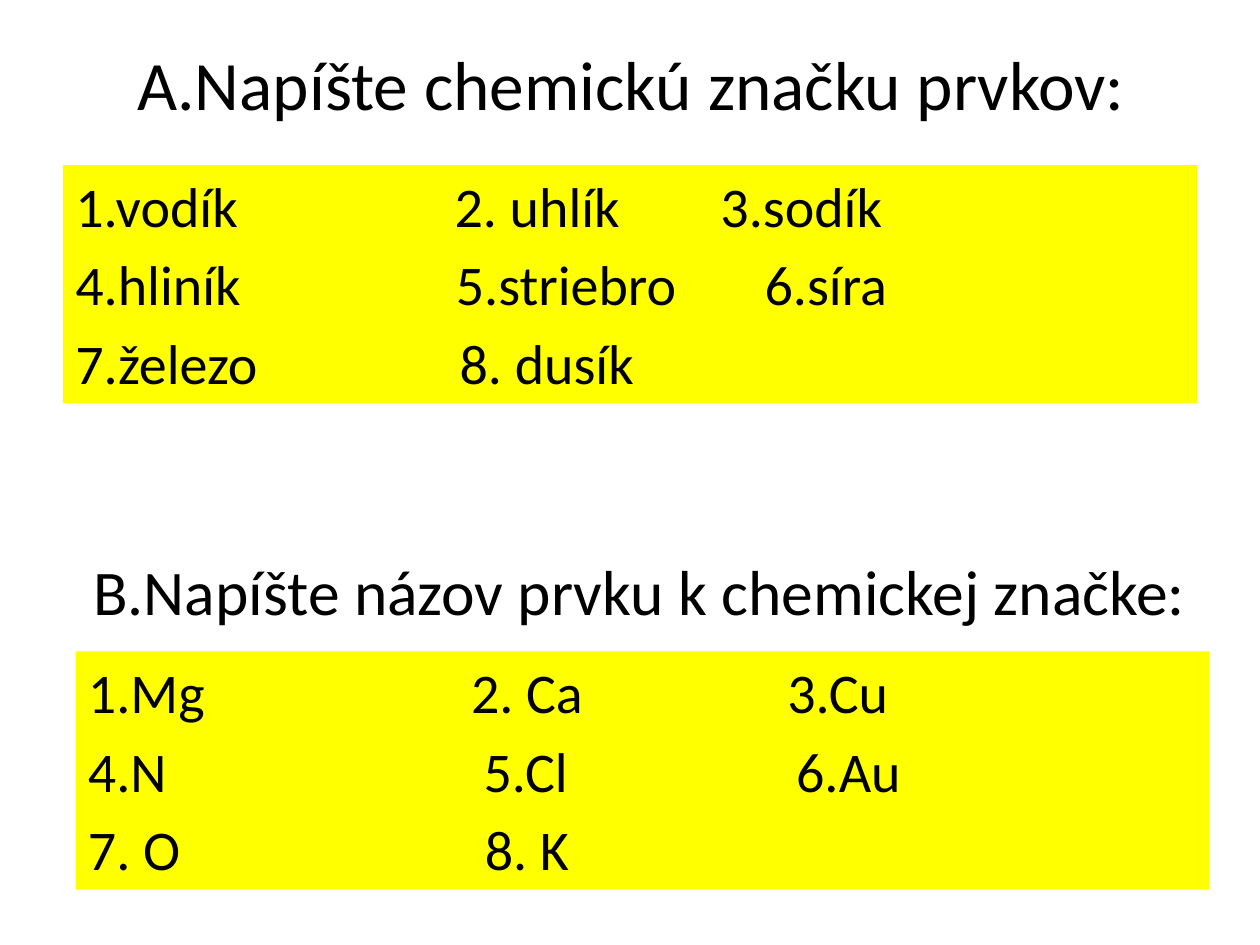
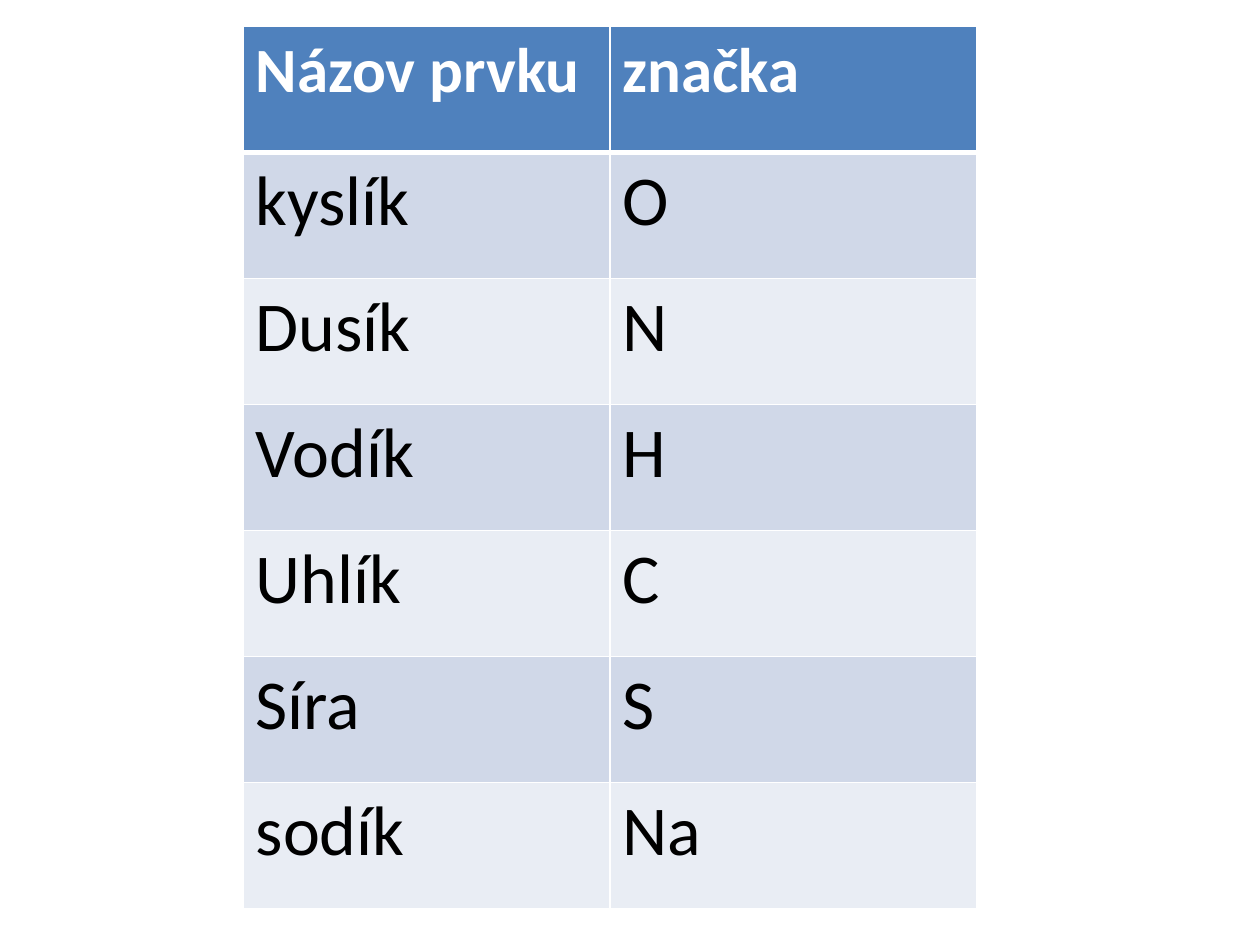
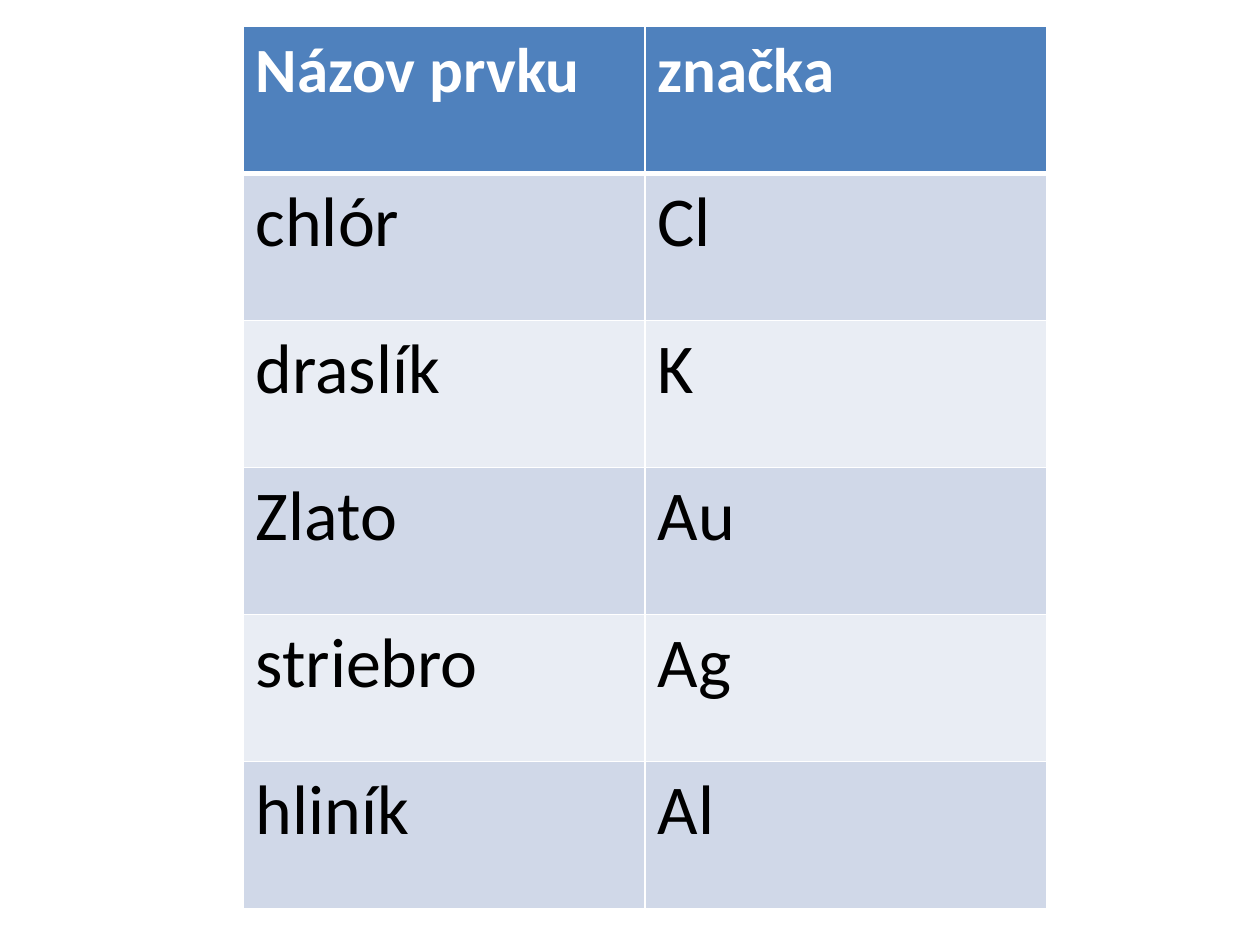
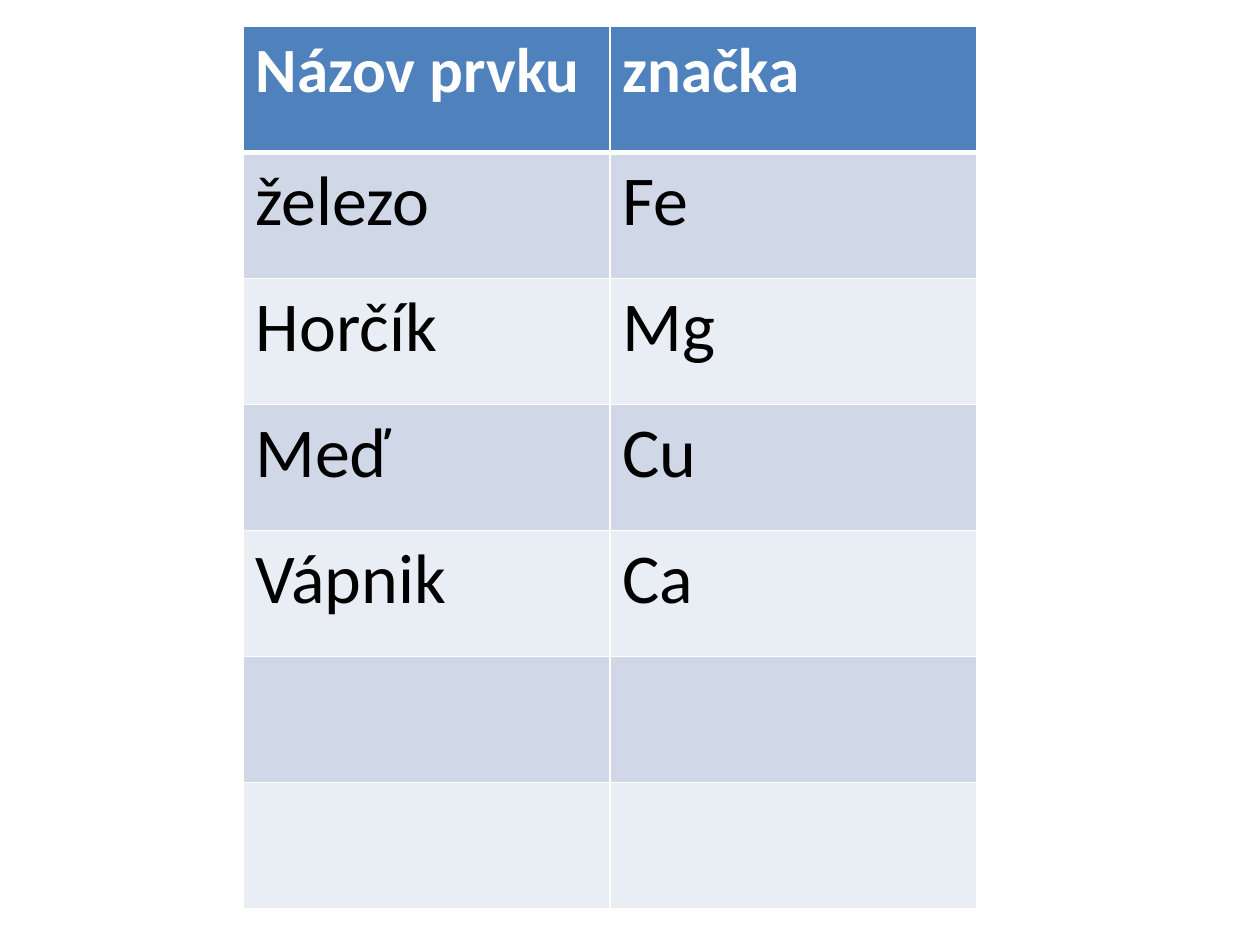
from lxml.etree import SubElement as Sub
from pptx import Presentation
from pptx.dml.color import RGBColor as Rgb
from pptx.enum.text import MSO_ANCHOR as Anchor, MSO_AUTO_SIZE as Fit, PP_ALIGN as Align
from pptx.oxml.ns import qn
from pptx.util import Inches, Pt

# Shared style
FONT = "Calibri"
BLACK, WHITE, YELLOW, BLUE = "000000", "FFFFFF", "FFFF00", "4F81BD"
BANDS = ["D0D8E8", "E9EDF4"]
HEAD = ("Názov prvku", "značka")


def color(code):
    return Rgb.from_string(code)


class Deck:
    def __init__(self):
        self.prs = Presentation()
        self.prs.slide_width = Inches(10)
        self.prs.slide_height = Inches(7.5)

    def add(self, layout):
        self.slide = self.prs.slides.add_slide(self.prs.slide_layouts[layout])

    def style(self, para, size, tone=BLACK, bold=False):
        font = para.font
        font.name, font.size, font.bold = FONT, Pt(size), bold
        font.color.rgb = color(tone)

    def place(self, left, top, high, holder=None):
        """Put a placeholder, or a new text box, at the shared width."""
        box = holder or self.slide.shapes.add_textbox(0, 0, 0, 0)
        box.left, box.top = Inches(left), Inches(top)
        box.width, box.height = Inches(9), Inches(high)
        box.text_frame.word_wrap = True
        box.text_frame.auto_size = Fit.NONE
        return box

    def title(self, text, left, top, size, holder=None):
        frame = self.place(left, top, 0.61, holder).text_frame
        frame.vertical_anchor = Anchor.MIDDLE
        frame.text = text
        para = frame.paragraphs[0]
        para.alignment = Align.CENTER
        self.style(para, size)

    def tasks(self, rows, left, top):
        """Yellow box; each row has its words and its tab stops."""
        box = self.place(left, top, 1.89)
        box.fill.solid()
        box.fill.fore_color.rgb = color(YELLOW)
        frame = box.text_frame
        for i, (words, stops) in enumerate(rows):
            para = frame.add_paragraph() if i else frame.paragraphs[0]
            para.text = "\t".join(words)
            tabs = Sub(para._p.get_or_add_pPr(), qn("a:tabLst"))
            for stop in stops:
                Sub(tabs, qn("a:tab"), pos=str(Inches(stop)), algn="l")
            para.space_before = Pt(6.4 if i else 0)
            self.style(para, 32)

    def edge(self, cell, row):
        """White cell borders, thicker under the header."""
        props = cell._tc.get_or_add_tcPr()
        for side in "LRTB":
            thick = (row, side) in ((0, "B"), (1, "T"))
            line = Sub(props, qn("a:ln" + side), w=str(Pt(3 if thick else 1)))
            fill = Sub(line, qn("a:solidFill"))
            Sub(fill, qn("a:srgbClr"), val=WHITE)

    def table(self, pairs, width):
        rows = [HEAD] + pairs
        grid = self.slide.shapes.add_table(
            len(rows), 2, Inches(1.93), Inches(0.21), Inches(width), Inches(7)).table
        for r, pair in enumerate(rows):
            for c, word in enumerate(pair):
                cell = grid.cell(r, c)
                self.edge(cell, r)
                cell.fill.solid()
                cell.fill.fore_color.rgb = color(BANDS[(r - 1) % 2] if r else BLUE)
                cell.text = word
                para = cell.text_frame.paragraphs[0]
                if r:
                    self.style(para, 40)
                else:
                    self.style(para, 36, WHITE, True)


def main():
    deck = Deck()

    # Exercises
    deck.add(5)
    deck.title("A.Napíšte chemickú značku prvkov:", 0.51, 0.35, 39.6,
               deck.slide.shapes.title)
    deck.tasks([
        (("1.vodík", "2. uhlík", "3.sodík"), (3.01, 5.12)),
        (("4.hliník", "5.striebro", "6.síra"), (3.02, 5.47)),
        (("7.železo", "8. dusík"), (3.05,)),
    ], 0.5, 1.31)
    deck.title("B.Napíšte názov prvku k chemickej značke:", 0.58, 4.38, 36.3)
    deck.tasks([
        (("1.Mg", "2. Ca", "3.Cu"), (3.04, 5.55)),
        (("4.N", "5.Cl", "6.Au"), (3.14, 5.62)),
        (("7. O", "8. K"), (3.15,)),
    ], 0.6, 5.17)

    # Tables of elements
    sets = [
        (5.82, [("kyslík", "O"), ("Dusík", "N"), ("Vodík", "H"),
                ("Uhlík", "C"), ("Síra", "S"), ("sodík", "Na")]),
        (6.38, [("chlór", "Cl"), ("draslík", "K"), ("Zlato", "Au"),
                ("striebro", "Ag"), ("hliník", "Al")]),
        (5.82, [("železo", "Fe"), ("Horčík", "Mg"), ("Meď", "Cu"),
                ("Vápnik", "Ca"), ("", ""), ("", "")]),
    ]
    for width, pairs in sets:
        deck.add(6)
        deck.table(pairs, width)

    deck.prs.save("out.pptx")


if __name__ == "__main__":
    main()
